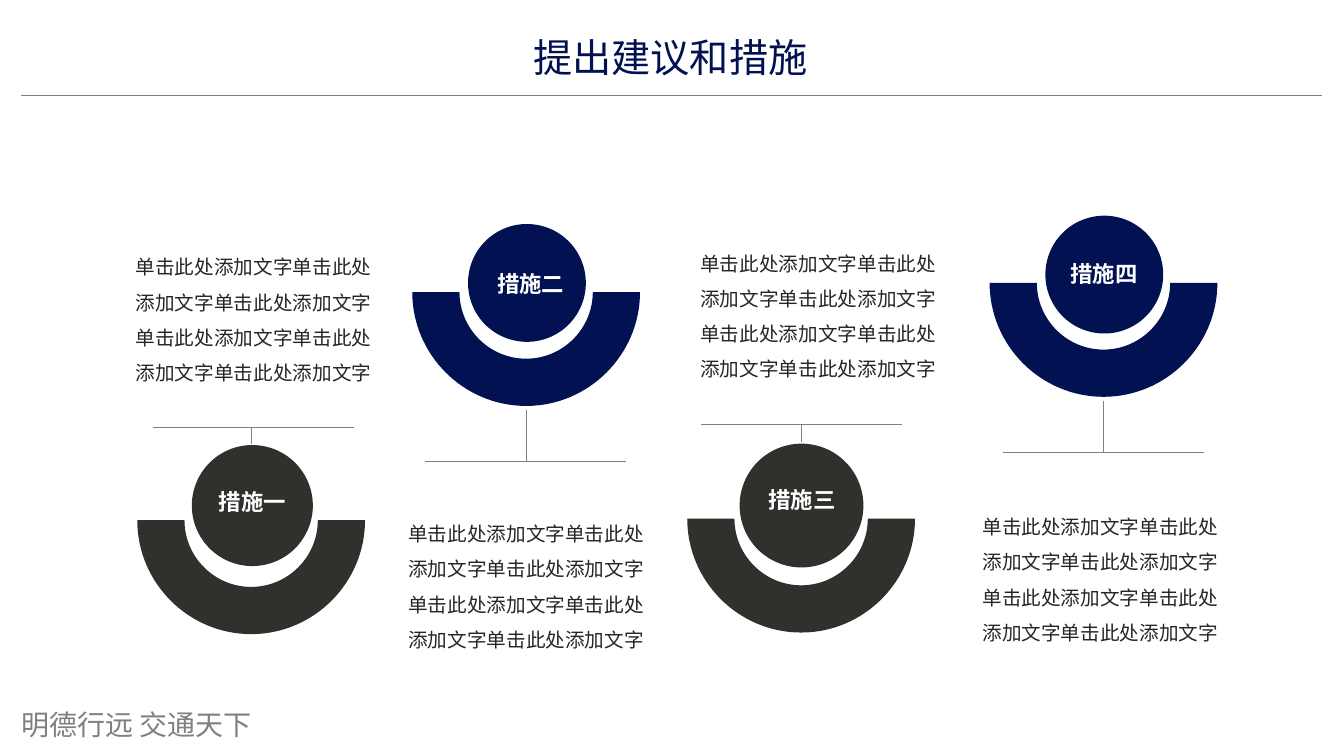
"""Build a slide with four measures, each a disc in a half ring beside a note."""
from dataclasses import dataclass

import pptx
import pptx.dml.color
import pptx.enum.shapes
import pptx.enum.text
import pptx.oxml
import pptx.oxml.ns
import pptx.util
from pptx.util import Cm

NAVY, DARK, GREY, INK, WHITE = "011152", "31302C", "808080", "262626", "FFFFFF"
FONT = "Noto Sans CJK SC"
NOTE = "单击此处添加文字" * 6
OUTER, INNER, HALF, BEND = 2.87, 1.68, 2.53, 0.55


@dataclass
class Step:
    """One measure, with its places in centimetres."""
    name: str
    shade: str
    mid: float
    ring: float
    disc: tuple[float, float, float]
    bar: tuple[float, float]
    stem: float
    label: tuple[float, float]
    note: tuple[float, float]


ROWS = [
    Step("措施一", DARK, 6.33, 13.11, (6.36, 12.74, 3.05), (6.39, 10.77), 11.18, (5.24, 12.17), (3.09, 5.96)),
    Step("措施二", NAVY, 13.26, 7.36, (13.28, 7.13, 2.97), (13.25, 11.63), 10.34, (12.25, 6.67), (9.96, 12.68)),
    Step("措施三", DARK, 20.19, 13.07, (20.2, 12.74, 3.12), (20.19, 10.69), 11.13, (19.09, 12.12), (17.32, 5.86)),
    Step("措施四", NAVY, 27.81, 7.13, (27.83, 6.92, 2.97), (27.8, 11.4), 10.11, (26.7, 6.43), (24.43, 12.5)),
]


def tint(code: str) -> pptx.dml.color.RGBColor:
    """Turn a hex string into a colour."""
    return pptx.dml.color.RGBColor.from_string(code)


def place(shape, left: float, top: float, wide: float, high: float) -> None:
    """Move and size a shape in centimetres."""
    shape.left, shape.top = Cm(left), Cm(top)
    shape.width, shape.height = Cm(wide), Cm(high)


def write(shape, words: str, *, size: float, shade: str, font: str = FONT, bold: bool = False,
          wrap: bool = True, space: float = 1.0, align: str = "LEFT", anchor: str = "TOP",
          inset: tuple[float, float] = (0.25, 0.13)) -> None:
    """Put formatted words in a shape."""
    frame = shape.text_frame
    frame.word_wrap = wrap
    frame.auto_size = pptx.enum.text.MSO_AUTO_SIZE.NONE
    frame.vertical_anchor = pptx.enum.text.MSO_ANCHOR[anchor]
    frame.margin_left = frame.margin_right = Cm(inset[0])
    frame.margin_top = frame.margin_bottom = Cm(inset[1])
    para = frame.paragraphs[0]
    para.alignment = pptx.enum.text.PP_ALIGN[align]
    para.line_spacing = space
    run = para.add_run()
    run.text = words
    run.font.size, run.font.bold = pptx.util.Pt(size), bold
    run.font.color.rgb = tint(shade)
    run.font.name = font
    east = pptx.oxml.parse_xml(f'<a:ea {pptx.oxml.ns.nsdecls("a")} typeface="{font}"/>')
    run.font._element.append(east)


def box(slide, left: float, top: float, wide: float, high: float, words: str, **look) -> None:
    """Add a text box."""
    shape = slide.shapes.add_textbox(Cm(left), Cm(top), Cm(wide), Cm(high))
    write(shape, words, **look)


def rule(slide, left: float, top: float, right: float, low: float) -> None:
    """Add a thin grey line."""
    kind = pptx.enum.shapes.MSO_CONNECTOR.STRAIGHT
    line = slide.shapes.add_connector(kind, Cm(left), Cm(top), Cm(right), Cm(low))
    line.line.color.rgb = tint(GREY)
    line.line.width = pptx.util.Pt(0.5)
    line._element.spPr.append(pptx.oxml.parse_xml(f'<a:effectLst {pptx.oxml.ns.nsdecls("a")}/>'))


def paint(shape, shade: str) -> None:
    """Give a shape a flat fill."""
    shape.shadow.inherit = False
    shape.fill.solid()
    shape.fill.fore_color.rgb = tint(shade)
    shape.line.fill.background()


def curve(shape) -> None:
    """Bend each slanted side of an outline into a quarter circle."""
    name = pptx.oxml.ns.qn
    spots = [(int(spot.get("x")), int(spot.get("y"))) for spot in shape._element.iter(name("a:pt"))]
    sides = list(shape._element.iter(name("a:lnTo")))
    for side, (left, top), (right, low) in zip(sides, spots, spots[1:]):
        if top == low:
            continue
        wide, high = round(BEND * (right - left)), round(BEND * (low - top))
        if low > top:
            pulls = [(left, top + high), (right - wide, low), (right, low)]
        else:
            pulls = [(left + wide, top), (right, low - high), (right, low)]
        marks = "".join(f'<a:pt x="{across}" y="{down}"/>' for across, down in pulls)
        bend = f'<a:cubicBezTo {pptx.oxml.ns.nsdecls("a")}>{marks}</a:cubicBezTo>'
        side.getparent().replace(side, pptx.oxml.parse_xml(bend))


def ring(slide, mid: float, top: float, shade: str) -> None:
    """Draw the lower half of a ring."""
    spots = [(-OUTER, 0), (-INNER, 0), (0, INNER), (INNER, 0), (OUTER, 0), (0, OUTER), (-OUTER, 0)]
    first, *rest = [(Cm(mid + across), Cm(top + down)) for across, down in spots]
    pen = slide.shapes.build_freeform(*first)
    pen.add_line_segments(rest, close=True)
    shape = pen.convert_to_shape()
    curve(shape)
    paint(shape, shade)


def disc(slide, mid: float, level: float, size: float, shade: str) -> None:
    """Draw a disc round its centre."""
    kind = pptx.enum.shapes.MSO_SHAPE.OVAL
    shape = slide.shapes.add_shape(kind, Cm(mid - size / 2), Cm(level - size / 2), Cm(size), Cm(size))
    shape.rotation = 21.1
    paint(shape, shade)


def draw(slide, step: Step) -> None:
    """Draw one measure."""
    ring(slide, step.mid, step.ring, step.shade)
    disc(slide, *step.disc, step.shade)
    mid, level = step.bar
    rule(slide, mid - HALF, level, mid + HALF, level)
    rule(slide, step.mid, min(level, step.stem), step.mid, max(level, step.stem))
    box(slide, *step.label, 2.24, 0.94, step.name, size=16, shade=WHITE, bold=True,
        wrap=False, align="CENTER")
    box(slide, *step.note, 6.81, 3.94, NOTE, size=14, shade=INK, space=1.5, inset=(0.33, 0.18))


def main() -> None:
    """Build and save the deck."""
    deck = pptx.Presentation()
    deck.slide_width, deck.slide_height = Cm(33.87), Cm(19.05)
    slide = deck.slides.add_slide(deck.slide_layouts[5])
    title = slide.shapes.title
    place(title, 13.15, 0.71, 7.49, 1.45)
    write(title, "提出建议和措施", size=28, shade=NAVY, wrap=False, align="CENTER")
    rule(slide, 0.53, 2.41, 33.32, 2.41)
    box(slide, 0.29, 17.7, 10, 1.12, "明德行远 交通天下", size=20, shade=GREY, font="Noto Sans CJK JP")
    for step in ROWS:
        draw(slide, step)
    deck.save("out.pptx")


if __name__ == "__main__":
    main()
